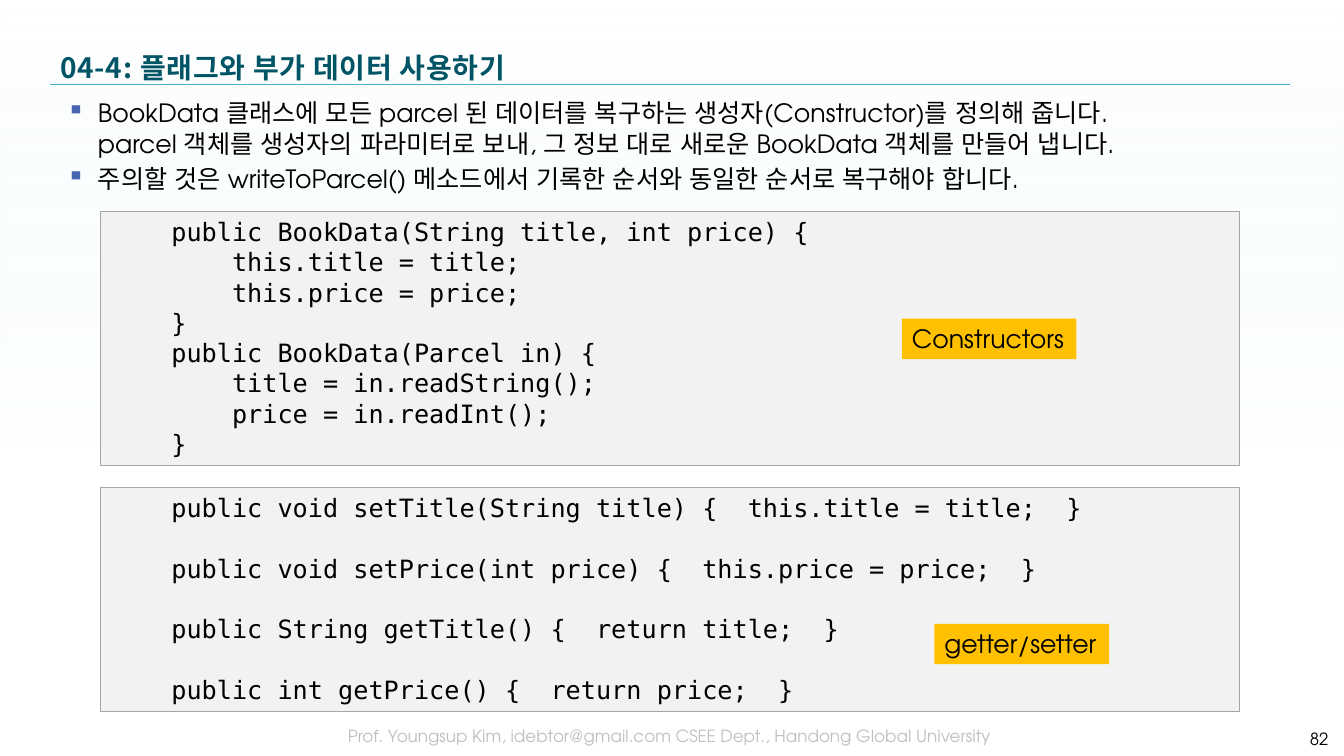
from lxml import etree
from pptx import Presentation, util as u
from pptx.dml.color import RGBColor
from pptx.enum import shapes, text
from pptx.oxml.ns import qn

GOTHIC = "TeX Gyre Adventor"
KOREAN = "Noto Sans CJK KR"
MONO = "DejaVu Sans Mono"


def rgb(value):
    return RGBColor.from_string(value)


def add_text(box, left, top, width, height, lines, font=GOTHIC, size=18, color="000000",
             bold=False, spacing=0, align="LEFT", anchor="TOP", gap=0, bullet=None,
             fill=None, line=None, wrap=True):
    area = [u.Cm(v) for v in (left, top, width, height)]
    if fill:
        sp = box.add_shape(shapes.MSO_SHAPE.RECTANGLE, *area)
        sp.shadow.inherit = False
        sp.fill.solid()
        sp.fill.fore_color.rgb = rgb(fill)
        if line:
            sp.line.color.rgb = rgb(line)
            sp.line.width = u.Pt(0.75)
        else:
            sp.line.fill.background()
    else:
        sp = box.add_textbox(*area)
    tf = sp.text_frame
    tf.word_wrap = wrap
    tf.vertical_anchor = text.MSO_ANCHOR[anchor]
    for i, content in enumerate(lines):
        p = tf.paragraphs[0] if i == 0 else tf.add_paragraph()
        p.alignment = text.PP_ALIGN[align]
        if i and gap:
            p.space_before = u.Pt(gap)
        if bullet:
            pPr = p._p.get_or_add_pPr()
            pPr.set("marL", str(u.Cm(0.95)))
            pPr.set("indent", str(u.Cm(-0.79)))
            buClr = etree.SubElement(pPr, qn("a:buClr"))
            etree.SubElement(buClr, qn("a:srgbClr"), val="4764B0")
            etree.SubElement(pPr, qn("a:buChar"), char=bullet)
        p.text = content
        for r in p.runs:
            r.font.name = font
            r.font.size = u.Pt(size)
            r.font.bold = bold
            r.font.color.rgb = rgb(color)
            rPr = r._r.get_or_add_rPr()
            etree.SubElement(rPr, qn("a:ea"), typeface=font)
            if spacing:
                rPr.set("spc", str(spacing))


prs = Presentation()
prs.slide_width, prs.slide_height = u.Cm(33.87), u.Cm(19.05)
s = prs.slides.add_slide(prs.slide_layouts[6])

sp = s.shapes.add_shape(shapes.MSO_SHAPE.RECTANGLE, 0, 0, prs.slide_width, prs.slide_height)
sp.shadow.inherit = False
sp.line.fill.background()
sp.fill.gradient()
sp.fill.gradient_angle = 270
stops = [(0, "D9F3F4", 0), (0.61, "FFFFFF", 40)]
for stop, (position, color, opacity) in zip(sp.fill.gradient_stops, stops):
    stop.position = position
    stop.color.rgb = rgb(color)
for clr, (position, color, opacity) in zip(sp._element.spPr.iter(qn("a:srgbClr")), stops):
    etree.SubElement(clr, qn("a:alpha"), val=str(opacity * 1000))

rule = s.shapes.add_connector(shapes.MSO_CONNECTOR.STRAIGHT,
                              u.Cm(1.27), u.Cm(2.13), u.Cm(32.51), u.Cm(2.13))
rule.line.color.rgb = rgb("4FADD1")
rule.line.width = u.Pt(0.25)
etree.SubElement(rule._element.spPr, qn("a:effectLst"))

add_text(s.shapes, 6.17, 18.16, 21.41, 0.91,
         ["Prof. Youngsup Kim, idebtor@gmail.com CSEE Dept., Handong Global University"],
         size=12, color="BFBFBF", align="CENTER")
add_text(s.shapes, 1.27, 1.07, 31.24, 1.27, ["04-4: 플래그와 부가 데이터 사용하기"],
         font=KOREAN, size=20, color="005466", bold=True, spacing=50, anchor="MIDDLE")
add_text(s.shapes, 1.27, 2.34, 31.27, 15.72, [
    "BookData 클래스에 모든 parcel 된 데이터를 복구하는 생성자(Constructor)를 정의해 줍니다.\v"
    "parcel 객체를 생성자의 파라미터로 보내, 그 정보 대로 새로운 BookData 객체를 만들어 냅니다.",
    "주의할 것은 writeToParcel() 메소드에서 기록한 순서와 동일한 순서로 복구해야 합니다.",
], gap=3.6, bullet="▪")
add_text(s.shapes, 30.76, 18.11, 2.97, 1.02, ["82"], size=12, align="RIGHT", anchor="MIDDLE")

constructors = [
    "    public BookData(String title, int price) {",
    "        this.title = title;",
    "        this.price = price;",
    "    }",
    "    public BookData(Parcel in) {",
    "        title = in.readString();",
    "        price = in.readInt();",
    "    }",
]
accessors = [
    "    public void setTitle(String title) {  this.title = title;  }",
    "    public void setPrice(int price) {  this.price = price;  }",
    "    public String getTitle() {  return title;  }",
    "    public int getPrice() {  return price;  }",
]
for top, height, code, gap in [(5.33, 6.4, constructors, 0), (12.29, 5.64, accessors, 21.6)]:
    add_text(s.shapes, 2.54, top, 28.7, height, code, font=MONO, gap=gap,
             fill="F2F2F2", line="A6A6A6")
for left, top, label in [(22.73, 8.03, "Constructors"), (23.55, 15.72, "getter/setter")]:
    add_text(s.shapes, left, top, 4.4, 1.02, [label], fill="FFC000", wrap=False)

prs.save("out.pptx")
